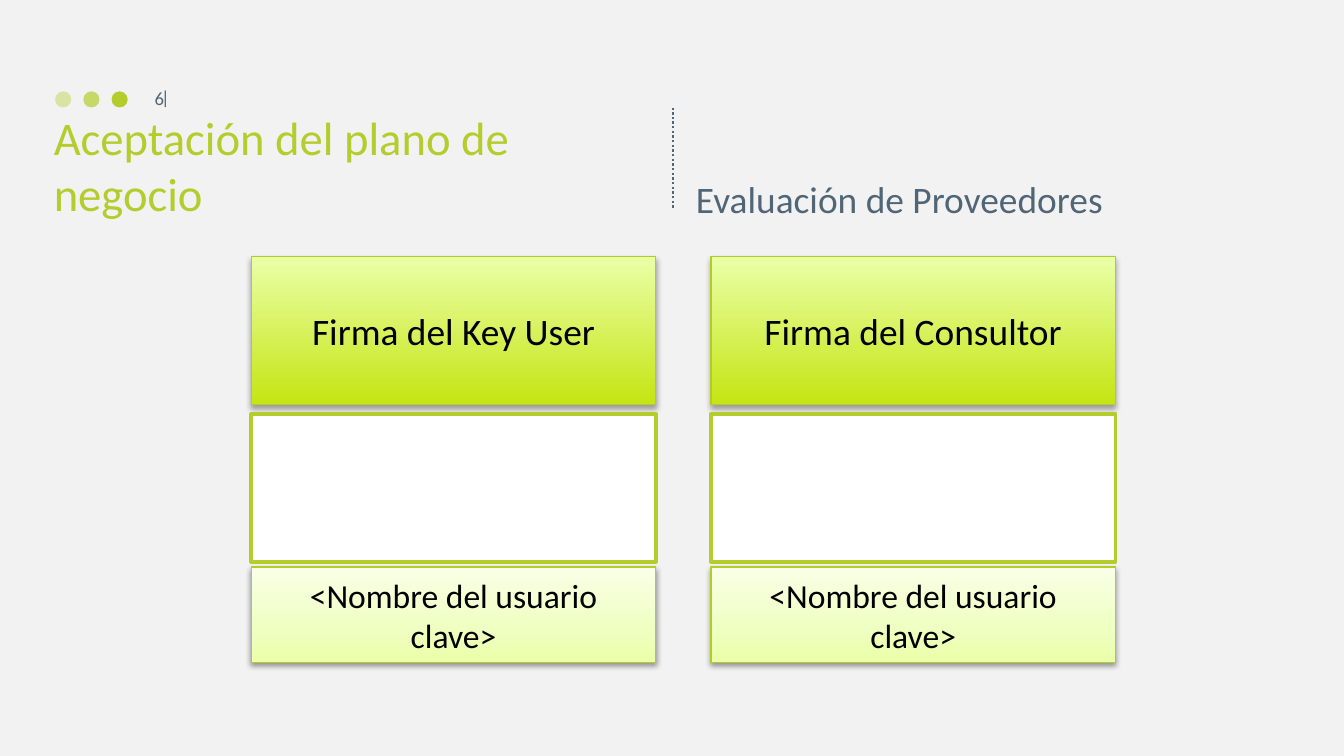
from lxml.etree import SubElement
from pptx import Presentation
from pptx.dml.color import RGBColor
from pptx.enum.dml import MSO_LINE
from pptx.enum.shapes import MSO_CONNECTOR, MSO_SHAPE
from pptx.enum.text import MSO_ANCHOR, MSO_AUTO_SIZE, PP_ALIGN
from pptx.oxml.ns import qn
from pptx.util import Inches, Pt

HUE = {"lime": "B4CD2C", "edge": "B3CC27", "slate": "506576", "back": "F2F2F2",
       "white": "FFFFFF", "black": "000000"}
HEAD = "Aceptación del plano de negocio"
TOPIC = "Evaluación de Proveedores"
PAGE = "6"
SIGN = ["Firma del Key User", "Firma del Consultor"]
NAME = ["<Nombre del usuario clave>"] * 2
DARK = [(0, "C5E514"), (100, "EAFFA7")]
PALE = [(0, "EAFFA7"), (35, "EFFFC1"), (100, "F9FFE7")]
ROWS = [
    {"top": 1.91, "high": 1.1, "text": SIGN, "size": 20, "stops": DARK, "shade": (35, 1.8)},
    {"top": 3.08, "high": 1.1, "text": ["", ""], "size": 18, "stops": None, "shade": None},
    {"top": 4.22, "high": 0.71, "text": NAME, "size": 18, "stops": PALE, "shade": (38, 1.6)},
]
SPAN = 10
LEFT, STEP, WIDE = 1.87, 3.42, 3.01
DOTS = [40, 70, 100]


def tone(key):
    return RGBColor.from_string(HUE[key])


def put(item, form):
    for key, value in form.items():
        setattr(item, key, value)


def box(*nums):
    return [Inches(n) for n in nums]


def write(shape, text, size, hue, align=PP_ALIGN.LEFT, anchor=MSO_ANCHOR.MIDDLE, wrap=True):
    frame = shape.text_frame
    put(frame, {"text": text, "word_wrap": wrap, "vertical_anchor": anchor,
                "auto_size": MSO_AUTO_SIZE.NONE})
    para = frame.paragraphs[0]
    para.alignment = align
    put(para.font, {"size": Pt(size), "name": "Calibri"})
    para.font.color.rgb = tone(hue)
    return para


def label(area, *args, **form):
    return write(slide.shapes.add_textbox(*box(*area)), *args, **form)


def draw(kind, area, fill):
    shape = slide.shapes.add_shape(kind, *box(*area))
    shape.shadow.inherit = False
    shape.fill.solid()
    shape.fill.fore_color.rgb = tone(fill)
    shape.line.fill.background()
    return shape


def fade(clr, alpha):
    if alpha < 100:
        SubElement(clr, qn("a:alpha"), val=str(alpha * 1000))


def tint(node, hue, alpha=100):
    fade(SubElement(node, qn("a:srgbClr"), val=hue), alpha)


def blend(shape, stops):
    shape.fill.gradient()
    grad = shape._element.spPr.find(qn("a:gradFill"))
    for node in list(grad):
        grad.remove(node)
    ramp = SubElement(grad, qn("a:gsLst"))
    for pos, hue in stops:
        tint(SubElement(ramp, qn("a:gs"), pos=str(pos * 1000)), hue)
    SubElement(grad, qn("a:lin"), ang="16200000", scaled="0")


def shade(shape, alpha, dist):
    node = SubElement(shape._element.spPr.find(qn("a:effectLst")), qn("a:outerShdw"),
                      blurRad=str(Pt(3.1)), dist=str(Pt(dist)), dir="5400000", rotWithShape="0")
    tint(node, HUE["black"], alpha)


deck = Presentation()
put(deck, {"slide_width": Inches(SPAN), "slide_height": Inches(SPAN * 9 / 16)})
slide = deck.slides.add_slide(deck.slide_layouts[5])
slide.background.fill.solid()
slide.background.fill.fore_color.rgb = tone("back")

for col, alpha in enumerate(DOTS):
    dot = draw(MSO_SHAPE.OVAL, (0.41 + 0.21 * col, 0.68, 0.12, 0.12), "lime")
    fade(dot._element.spPr.find(qn("a:solidFill"))[0], alpha)

rule = slide.shapes.add_connector(MSO_CONNECTOR.STRAIGHT, *box(5.01, 0.8, 5.01, 1.55))
put(rule.line, {"width": Pt(1.25), "dash_style": MSO_LINE.ROUND_DOT})
rule.line.color.rgb = tone("slate")
SubElement(rule._element.spPr, qn("a:effectLst"))

label((1.2, 0.66, 0.06, 0.15), "|", 10, "slate", anchor=MSO_ANCHOR.TOP,
      wrap=False).line_spacing = 0.5
title = slide.shapes.title
put(title, dict(zip(("left", "top", "width", "height"), box(0.3, 0.75, 4.59, 0.94))))
write(title, HEAD, 25, "lime", anchor=MSO_ANCHOR.BOTTOM)
label((5.08, 0.75, 4.42, 0.94), TOPIC, 20, "slate", anchor=MSO_ANCHOR.BOTTOM)

for row in ROWS:
    for col, text in enumerate(row["text"]):
        card = draw(MSO_SHAPE.RECTANGLE, (LEFT + STEP * col, row["top"], WIDE, row["high"]), "white")
        card.line.color.rgb = tone("edge" if row["stops"] else "lime")
        card.line.width = Pt(0.75 if row["stops"] else 2)
        if row["stops"]:
            blend(card, row["stops"])
            shade(card, *row["shade"])
            write(card, text, row["size"], "black", PP_ALIGN.CENTER)

label((0.86, 0.58, 0.46, 0.3), PAGE, 10, "slate", PP_ALIGN.RIGHT)
deck.save("out.pptx")
